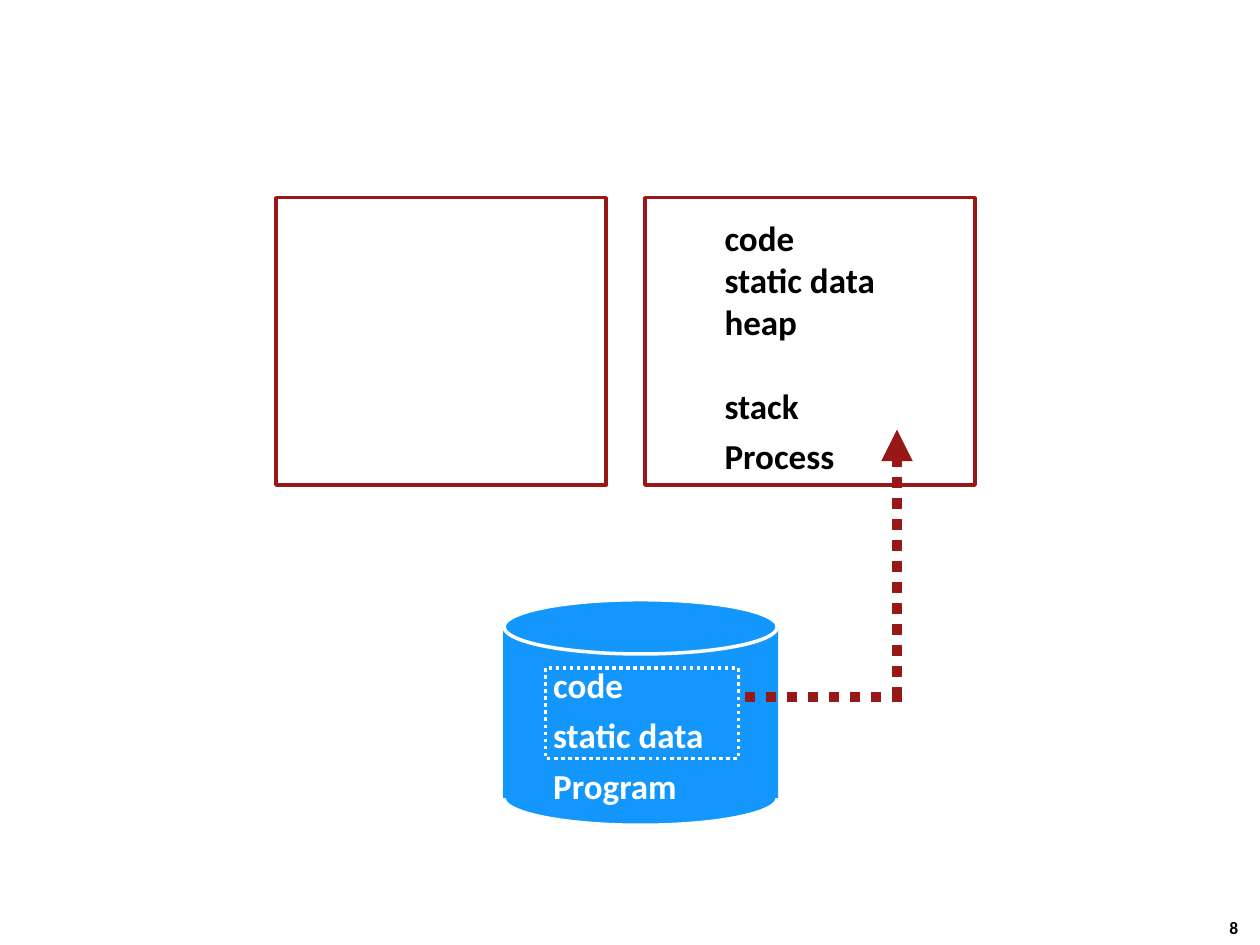
import pptx
import pptx.util
import pptx.dml.color
import pptx.enum.dml
import pptx.enum.shapes
import pptx.enum.text
import pptx.oxml
import pptx.oxml.ns

Pt = pptx.util.Pt
SHAPE = pptx.enum.shapes.MSO_SHAPE
DOTTED = pptx.enum.dml.MSO_LINE.ROUND_DOT
RED, BLUE, WHITE, BLACK = "971817", "1497FC", "FFFFFF", "000000"


def rgb(value):
    return pptx.dml.color.RGBColor.from_string(value)


def add_shape(slide, kind, box, fill=None, line=None, dash=None):
    s = slide.shapes.add_shape(kind, *map(Pt, box))
    s.shadow.inherit = False
    if fill:
        s.fill.solid()
        s.fill.fore_color.rgb = rgb(fill)
    else:
        s.fill.background()
    if line:
        s.line.color.rgb = rgb(line)
        s.line.width = Pt(2)
        s.line.dash_style = dash
    else:
        s.line.fill.background()
    return s


def add_text(slide, box, lines, color, size=20, inset=2.88):
    """Each line is its text and a dict of paragraph formats."""
    tf = slide.shapes.add_textbox(*map(Pt, box)).text_frame
    tf.word_wrap = False
    tf.vertical_anchor = pptx.enum.text.MSO_ANCHOR.MIDDLE
    for side in ("left", "right", "top", "bottom"):
        setattr(tf, f"margin_{side}", Pt(inset))
    for i, (text, formats) in enumerate(lines):
        p = tf.paragraphs[0] if i == 0 else tf.add_paragraph()
        for name, value in formats.items():
            setattr(p, name, value)
        r = p.add_run()
        r.text = text
        for name, value in dict(name="Calibri", size=Pt(size), bold=True).items():
            setattr(r.font, name, value)
        r.font.color.rgb = rgb(color)


def add_dotted_line(slide, start, end, arrow=False):
    s = slide.shapes.add_connector(
        pptx.enum.shapes.MSO_CONNECTOR.STRAIGHT, *map(Pt, start + end))
    s.line.color.rgb = rgb(RED)
    s.line.width = Pt(6)
    s.line.dash_style = DOTTED
    if arrow:
        tail = pptx.oxml.parse_xml(
            f'<a:tailEnd {pptx.oxml.ns.nsdecls("a")} type="triangle"/>')
        s.line._get_or_add_ln().append(tail)
    s._element.spPr.append(
        pptx.oxml.parse_xml(f'<a:effectLst {pptx.oxml.ns.nsdecls("a")}/>'))


def add_disk(slide, left, top, width, height):
    cap = 31
    bottom_cap = (left, top + height - cap, width, cap)
    body = (left - 0.5, top + cap / 2, width + 1, height - cap)
    add_shape(slide, SHAPE.OVAL, bottom_cap, BLUE, WHITE)
    add_shape(slide, SHAPE.RECTANGLE, body, BLUE)
    add_shape(slide, SHAPE.OVAL, (left, top, width, cap), BLUE, WHITE)
    lines = [("code", {"line_spacing": 0.8}),
             ("static data", {"line_spacing": 1.2}),
             ("Program", {"line_spacing": 1.2})]
    add_text(slide, (left + 25.2, top + 38.9, 92.2, 81.4), lines, WHITE)
    add_shape(slide, SHAPE.RECTANGLE, (left + 23.8, top + 38.9, 110.2, 51.8),
              line=WHITE, dash=DOTTED)


def add_cpu(slide, left, top, width, height):
    add_shape(slide, SHAPE.RECTANGLE, (left, top, width, height), WHITE, RED)


def add_memory(slide, left, top, width, height):
    add_shape(slide, SHAPE.RECTANGLE, (left, top, width, height), WHITE, RED)
    lines = [("code", {}), ("static data", {}), ("heap", {}),
             ("stack", {"space_before": Pt(24)}),
             ("Process", {"line_spacing": 1.2})]
    add_text(slide, (left + 42.5, top + 8, 92.2, 154), lines, BLACK)


def add_load_arrow(slide, left, top, width, height):
    bottom = top + height
    add_dotted_line(slide, (left + width, bottom), (left + width, top), arrow=True)
    add_dotted_line(slide, (left, bottom - 0.5), (left + width + 4.4, bottom - 0.5))


def main():
    prs = pptx.Presentation()
    prs.slide_width, prs.slide_height = Pt(720), Pt(540)
    slide = prs.slides.add_slide(prs.slide_layouts[6])
    add_disk(slide, 288, 342.7, 156.2, 128.9)
    add_cpu(slide, 157.7, 113, 188.6, 164.2)
    add_memory(slide, 368.6, 113, 188.6, 164.2)
    add_load_arrow(slide, 425.5, 245.5, 87.1, 153.3)
    add_text(slide, (695.5, 520.6, 26.6, 19.4), [("8", {})], BLACK, size=10, inset=7.2)
    prs.save("out.pptx")


if __name__ == "__main__":
    main()
